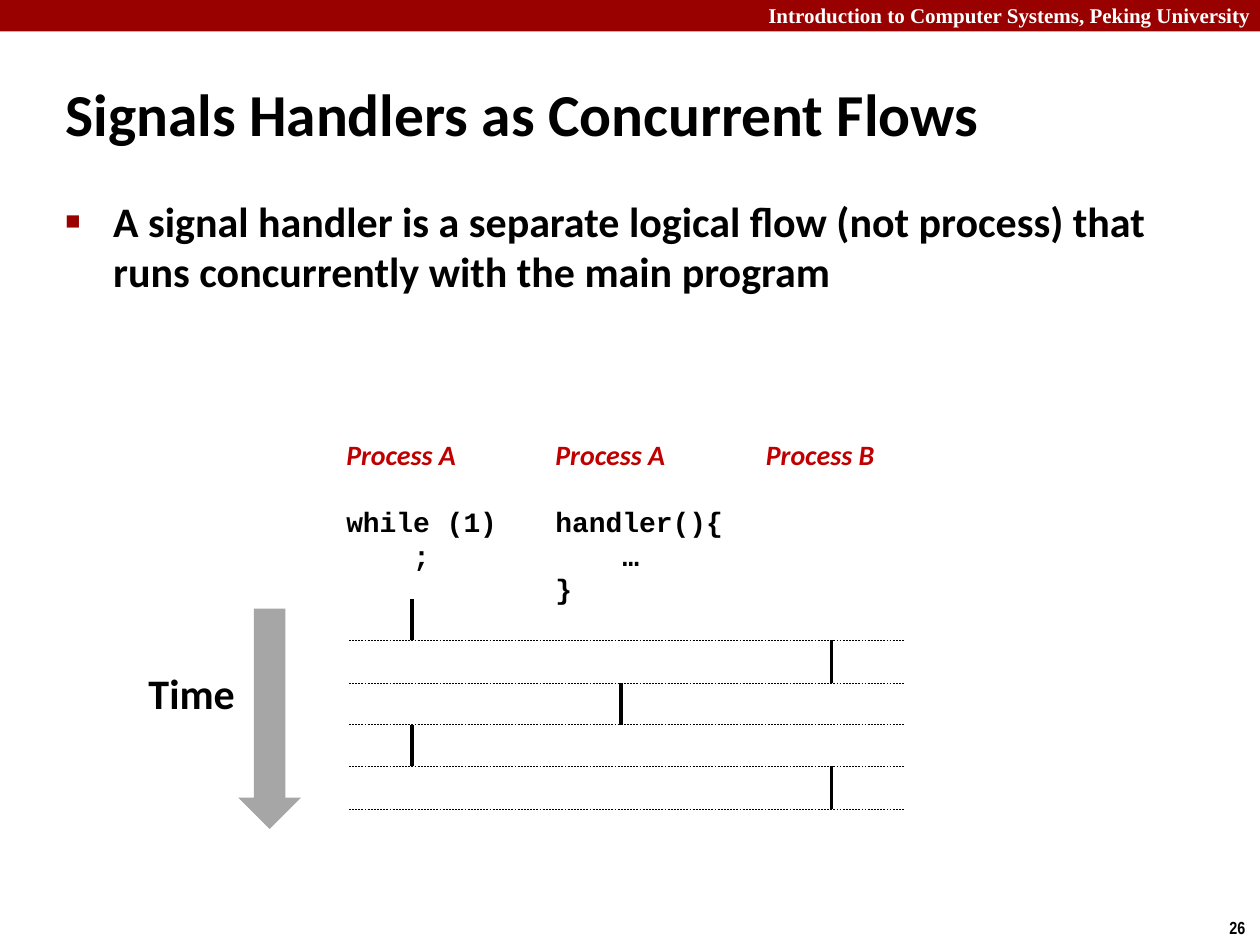
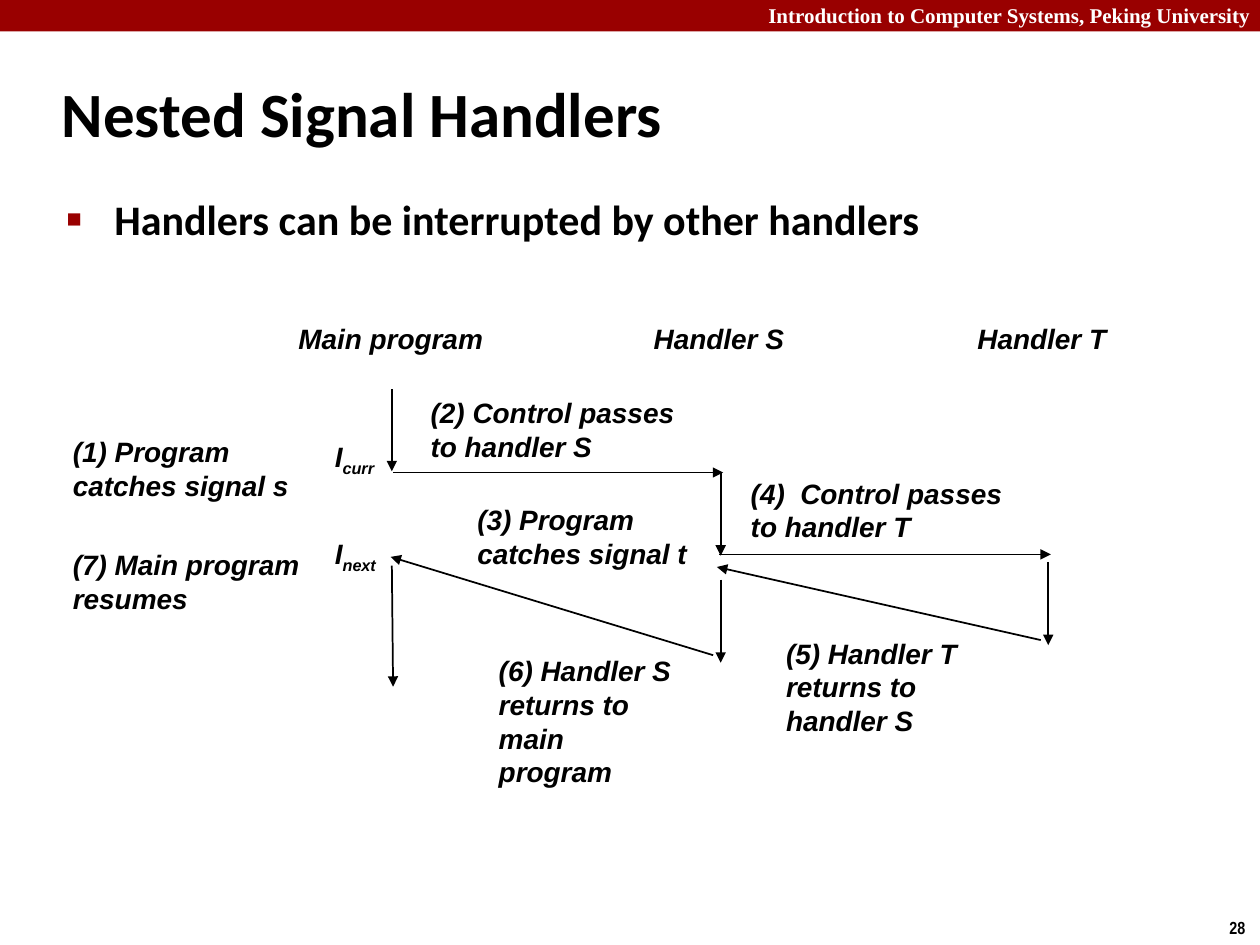
from lxml import etree
from pptx import Presentation
from pptx.dml.color import RGBColor
from pptx.enum.dml import MSO_LINE
from pptx.enum.shapes import MSO_CONNECTOR, MSO_SHAPE
from pptx.enum.text import MSO_ANCHOR, PP_ALIGN
from pptx.oxml.ns import qn
from pptx.util import Pt

PX = 9144  # 100 px to the inch
LEFT = PP_ALIGN.LEFT
MIDDLE = MSO_ANCHOR.MIDDLE
RECT = MSO_SHAPE.RECTANGLE
ARROW = MSO_SHAPE.DOWN_ARROW
STRAIGHT = MSO_CONNECTOR.STRAIGHT
DASH = MSO_LINE.DASH

COLORS = {
    "band": "990000",
    "head": "C00000",
    "ink": "000000",
    "paper": "FFFFFF",
    "arrow": "A6A6A6",
}

# Text styles: font, size, colour, italic, baseline shift
STYLES = {
    "course": ("Times New Roman", 12, "paper", False, 0),
    "number": ("Arial Narrow", 10, "ink", False, 0),
    "long": ("Calibri", 34, "ink", False, 0),
    "short": ("Calibri", 36, "ink", False, 0),
    "body": ("Calibri", 24, "ink", False, 0),
    "head": ("Calibri", 16, "head", True, 0),
    "code": ("Courier New", 16, "ink", False, 0),
    "label": ("Arial", 16, "ink", True, 0),
    "sub": ("Arial", 16, "ink", True, -25000),
}


def write(shape, rows, wrap=True):
    """Fill a shape with rows; each row is a list of (style, text) runs."""
    frame = shape.text_frame
    frame.word_wrap = wrap
    for i, row in enumerate(rows):
        para = frame.paragraphs[0] if i == 0 else frame.add_paragraph()
        para.alignment = LEFT
        for style, text in row:
            name, size, color, italic, shift = STYLES[style]
            run = para.add_run()
            run.text = text
            font = run.font
            font.name, font.size = name, Pt(size)
            font.bold, font.italic = True, italic
            font.color.rgb = RGBColor.from_string(COLORS[color])
            if shift:
                run._r.get_or_add_rPr().set("baseline", str(shift))
    return frame


def draw(slide, ends, width, dash=None, tip=False):
    """Draw a straight line, with an arrowhead at its end if tip is set."""
    line = slide.shapes.add_connector(STRAIGHT, *[v * PX for v in ends])
    line.line.color.rgb = RGBColor.from_string(COLORS["ink"])
    line.line.width = Pt(width)
    if dash:
        line.line.dash_style = dash
    props = line._element.spPr
    if tip:
        etree.SubElement(props.find(qn("a:ln")), qn("a:tailEnd"), type="triangle")
    etree.SubElement(props, qn("a:effectLst"))


deck = Presentation()
deck.slide_width, deck.slide_height = 1000 * PX, 750 * PX

# Shared frame: band, course name, page number, title, bullet
PAGES = [
    ("26", "long", "Signals Handlers as Concurrent Flows", 42, (42, 150, 909, 142),
     "A signal handler is a separate logical flow (not process) that "
     "runs concurrently with the main program"),
    ("28", "short", "Nested Signal Handlers", 39, (43, 149, 864, 68),
     "Handlers can be interrupted by other handlers"),
]
slides = []
for number, style, name, left, area, point in PAGES:
    slide = deck.slides.add_slide(deck.slide_layouts[5])
    slides.append(slide)
    shapes = slide.shapes

    band = shapes.add_shape(RECT, 0, 0, 1000 * PX, 25 * PX)
    band.shadow.inherit = False
    band.fill.solid()
    band.fill.fore_color.rgb = RGBColor.from_string(COLORS["band"])
    band.line.fill.background()
    course = shapes.add_textbox(600 * PX, -3 * PX, 407 * PX, 30 * PX)
    write(course, [[("course", "Introduction to Computer Systems, Peking University")]])
    page = shapes.add_textbox(966 * PX, 723 * PX, 34 * PX, 27 * PX)
    write(page, [[("number", number)]], wrap=False)

    title = shapes.title
    title.left, title.top = left * PX, 48 * PX
    title.width, title.height = 830 * PX, 83 * PX
    write(title, [[(style, name)]]).vertical_anchor = MIDDLE

    body = shapes.add_textbox(*[v * PX for v in area])
    frame = write(body, [[("body", point)]])
    props = frame.paragraphs[0]._p.get_or_add_pPr()
    props.set("marL", str(38 * PX))
    props.set("indent", str(-38 * PX))
    tint = etree.SubElement(props, qn("a:buClr"))
    etree.SubElement(tint, qn("a:srgbClr"), val=COLORS["band"])
    etree.SubElement(props, qn("a:buSzPct"), val="60000")
    etree.SubElement(props, qn("a:buFont"), typeface="Arial")
    etree.SubElement(props, qn("a:buChar"), char="■")

flows, nested = slides

# Slide 1: process columns with their code
COLUMNS = [
    (265, 140, 117, "Process A", ["while (1)", "    ;"]),
    (431, 154, 144, "Process A", ["handler(){", "    …", "}"]),
    (598, 108, 37, "Process B", []),
]
for x, w, h, head, code in COLUMNS:
    box = flows.shapes.add_textbox(x * PX, 342 * PX, w * PX, h * PX)
    rows = [[("head", head)]] + [[("code", text)] for text in code]
    frame = write(box, rows, wrap=False)
    if code:
        frame.paragraphs[1].space_before = Pt(19.5)

# Slide 1: time slots, each run by one flow and closed by a dashed line
MAIN, HANDLER, OTHER = 327, 493, 660
TIMES = [475, 508, 542, 575, 608, 642]
for x, top, end in zip([MAIN, OTHER, HANDLER, MAIN, OTHER], TIMES, TIMES[1:]):
    draw(flows, (x, top, x, end), 2)
    draw(flows, (277, end, 718, end), 0.25, dash=DASH)

# Slide 1: time axis
time = flows.shapes.add_textbox(108 * PX, 525 * PX, 89 * PX, 50 * PX)
write(time, [[("body", "Time")]])
arrow = flows.shapes.add_shape(ARROW, 189 * PX, 483 * PX, 50 * PX, 175 * PX)
arrow.shadow.inherit = False
arrow.fill.solid()
arrow.fill.fore_color.rgb = RGBColor.from_string(COLORS["arrow"])
arrow.line.fill.background()

# Slide 2: column heads and numbered steps
LABELS = [
    (227, 250, 174, 37, ["Main program"]),
    (509, 250, 134, 37, ["Handler S"]),
    (766, 250, 134, 37, ["Handler T"]),
    (48, 340, 210, 64, ["(1) Program catches signal s"]),
    (332, 309, 224, 64, ["(2) Control passes to handler S"]),
    (369, 394, 203, 64, ["(3) Program catches signal t"]),
    (586, 373, 231, 64, ["(4)  Control passes to handler T"]),
    (614, 500, 162, 91, ["(5) Handler T", "returns to handler S"]),
    (386, 514, 162, 118, ["(6) Handler S", "returns to main program"]),
    (48, 430, 210, 64, ["(7) Main program resumes"]),
]
for x, y, w, h, texts in LABELS:
    box = nested.shapes.add_textbox(x * PX, y * PX, w * PX, h * PX)
    write(box, [[("label", text)] for text in texts])

# Slide 2: instruction marks
for y, mark in [(344, "curr"), (421, "next")]:
    box = nested.shapes.add_textbox(256 * PX, y * PX, 60 * PX, 37 * PX)
    write(box, [[("label", "I"), ("sub", mark)]], wrap=False)

# Slide 2: flow of control
STEPS = [
    (311, 309, 311, 374),
    (312, 375, 574, 375),
    (572, 375, 572, 441),
    (571, 440, 834, 440),
    (832, 446, 832, 512),
    (826, 508, 569, 450),
    (572, 460, 572, 526),
    (566, 520, 310, 442),
    (311, 449, 312, 545),
]
for ends in STEPS:
    draw(nested, ends, 1, tip=True)

deck.save("out.pptx")
